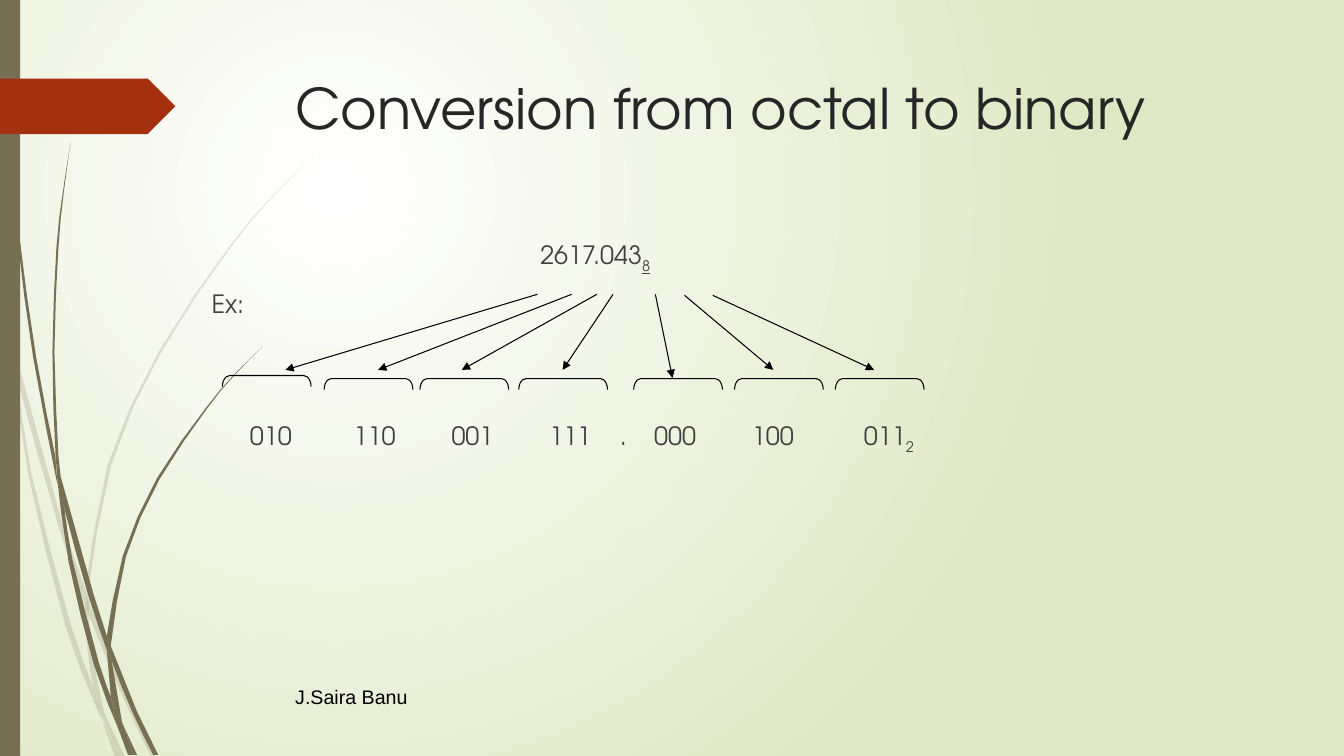
from lxml.etree import SubElement
from pptx import Presentation
from pptx.dml.color import RGBColor
from pptx.enum.shapes import MSO_CONNECTOR, MSO_SHAPE
from pptx.enum.text import MSO_ANCHOR, PP_ALIGN
from pptx.oxml.ns import qn
from pptx.util import Inches, Pt

# Content
TITLE = "Conversion from octal to binary"
AUTHOR = "J.Saira Banu"
OCTAL = ("2617.043", "8")
LABEL = "Ex:"
BINARY = (["010", "110", "001", "111", ".", "000", "100", "011"], "2")

COLORS = {"white": "FFFFFF", "pale": "DFE8C4", "olive": "766F54", "red": "A53010",
          "title": "262626", "body": "404040", "black": "000000"}
HEAD, SANS = "TeX Gyre Adventor", "Arial"

# Left edge of each binary group, in inches
TABS = [2.48, 3.51, 4.48, 5.45, 6.15, 6.49, 7.46, 8.57]
# Arrows from octal digit to bracket: start x, start y, end x, end y
ARROWS = [(5.33, 2.92, 2.83, 3.67), (5.67, 2.92, 3.75, 3.67),
          (5.92, 2.92, 4.58, 3.67), (6.08, 2.92, 5.58, 3.67),
          (6.5, 2.92, 6.67, 3.75), (6.79, 2.93, 7.67, 3.67),
          (7.07, 2.93, 8.67, 3.67)]
# Left and top of each bracket before its quarter turn
BRACKETS = [(2.59, 3.34)] + [(x, 3.37) for x in (3.6, 4.55, 5.53, 6.67, 7.67, 8.67)]

# Grass pieces: one edge, then the other edge back to the start
FAINT = [
    ([(.11, 3.5), (.09, 3.22), (0, 2.82)], [(0, 2.99), (.1, 3.44), (.11, 3.5)]),
    ([(.14, 3.45), (.17, 3.76), (.58, 5.22), (.84, 5.99)],
     [(.85, 5.86), (.62, 5.2), (.14, 3.45)]),
    ([(.88, 5.96), (.88, 6.1), (1.23, 6.94), (1.5, 7.51)],
     [(1.55, 7.51), (1.27, 6.92), (.92, 6.07), (.88, 5.96)]),
    ([(1.05, 7.11), (1.19, 7.51)], [(1.24, 7.51), (1.05, 7.11)]),
    ([(.11, 3.5), (.28, 4.7), (.65, 6.21), (.92, 6.93), (1.01, 7.14)],
     [(.99, 7.07), (.93, 6.83), (.7, 6.19), (.31, 4.69), (.17, 3.76), (.11, 3.5)]),
    ([(.84, 5.99), (.87, 6.46), (.93, 6.83), (1.05, 7.11)],
     [(1.03, 7.06), (.91, 6.46), (.88, 6.1), (.84, 5.99)]),
    ([(3.12, 1.53), (2.68, 1.97), (2.28, 2.44), (1.58, 3.48), (1.07, 4.61), (.85, 5.84)],
     [(.88, 5.96), (.88, 5.84), (1.1, 4.62), (1.6, 3.49), (2.29, 2.45), (2.68, 1.98),
      (3.12, 1.53)]),
    ([(1.01, 7.14), (1.14, 7.51)], [(1.19, 7.51), (1.01, 7.14)]),
    ([(.84, 5.99), (.85, 5.86)], [(.88, 5.96), (.88, 6.1)]),
    ([(.93, 6.83), (.99, 7.07), (1.19, 7.51)], [(1.05, 7.11), (.96, 6.92), (.93, 6.83)]),
]
SOLID = [
    ([(.03, 0), (.07, 1.1), (.17, 2.33), (.33, 3.55), (.57, 4.81)],
     [(.55, 4.53), (.36, 3.55), (.19, 2.32), (.08, 1.09), (.04, 0)]),
    ([(.6, 4.72), (.64, 5.05), (.88, 5.92), (1.06, 6.45)],
     [(1.06, 6.31), (.93, 5.9), (.6, 4.72)]),
    ([(1.1, 6.41), (1.11, 6.56), (1.32, 7.08), (1.52, 7.49)],
     [(1.57, 7.49), (1.36, 7.06), (1.1, 6.41)]),
    ([(.57, 4.77), (.68, 5.57), (.93, 6.59), (1.17, 7.22)],
     [(1.1, 6.91), (.98, 6.57), (.72, 5.56), (.64, 5.05), (.57, 4.77)]),
    ([(.7, 1.41), (.62, 1.93), (.56, 2.45), (.52, 3.49), (.55, 4.49), (.6, 4.72)],
     [(.58, 4.53), (.54, 3.49), (.58, 2.45), (.63, 1.93), (.7, 1.41)]),
    ([(1.22, 7.19), (1.33, 7.49)], [(1.36, 7.49), (1.22, 7.19)]),
    ([(.57, 4.77), (.64, 5.05)], [(.6, 4.72), (.55, 4.49)]),
    ([(2.6, 3.44), (2.31, 3.73), (2.04, 4.05), (1.56, 4.74), (1.22, 5.51), (1.06, 6.31)],
     [(1.1, 6.41), (1.11, 6.33), (1.25, 5.52), (1.58, 4.76), (2.05, 4.06), (2.31, 3.74),
      (2.6, 3.44)]),
    ([(1.17, 7.22), (1.27, 7.49)], [(1.31, 7.49), (1.17, 7.22)]),
    ([(1.06, 6.45), (1.1, 6.91), (1.22, 7.19)], [(1.21, 7.16), (1.11, 6.56), (1.06, 6.45)]),
    ([(1.06, 6.31), (1.06, 6.45)], [(1.11, 6.56), (1.1, 6.41)]),
    ([(1.1, 6.91), (1.17, 7.22), (1.3, 7.49)], [(1.33, 7.49), (1.22, 7.19), (1.1, 6.91)]),
]


def rgb(name):
    return RGBColor.from_string(COLORS[name])


def smooth(pts):
    """Points of a Catmull-Rom curve through pts, halving each long step."""
    if len(pts) < 4:
        return pts
    ext = [pts[0], *pts, pts[-1]]
    out = [pts[0]]
    for a, b, c, d in zip(ext, ext[1:], ext[2:], ext[3:]):
        mid = tuple((9 * (q + r) - p - s) / 16 for p, q, r, s in zip(a, b, c, d))
        out += [mid, c]
    return out


def paint(shape, color):
    shape.shadow.inherit = False
    shape.fill.solid()
    shape.fill.fore_color.rgb = rgb(color)
    shape.line.fill.background()


def ink(line):
    line.color.rgb = rgb("black")
    line.width = Pt(0.75)


def add_run(para, text, size, color, font=HEAD):
    run = para.add_run()
    run.text = text
    run.font.size = Pt(size)
    run.font.name = font
    run.font.color.rgb = rgb(color)
    return run


def add_sub(para, text):
    run = add_run(para, text, 18, "body")
    run.font._element.set("baseline", "-25000")
    return run


def add_box(shapes, x, y, w, h):
    frame = shapes.add_textbox(Inches(x), Inches(y), Inches(w), Inches(h)).text_frame
    frame.word_wrap = True
    return frame


def draw_back(slide):
    fill = slide.background.fill
    fill.gradient()
    for stop, name in zip(fill.gradient_stops, ("white", "pale")):
        stop.color.rgb = rgb(name)
    grad = slide._element.find(".//" + qn("a:gradFill"))
    grad.remove(grad.find(qn("a:lin")))
    ring = SubElement(grad, qn("a:path"), {"path": "circle"})
    SubElement(ring, qn("a:fillToRect"),
               {"l": "50000", "t": "50000", "r": "100000", "b": "100000"})


def draw_grass(shapes, blades, alpha):
    for down, up in blades:
        pts = [(Inches(x), Inches(y)) for x, y in smooth(down) + smooth(up)]
        pen = shapes.build_freeform(*pts[0])
        pen.add_line_segments(pts[1:], close=True)
        blade = pen.convert_to_shape()
        paint(blade, "olive")
        tint = blade._element.spPr.find(".//" + qn("a:srgbClr"))
        SubElement(tint, qn("a:alpha"), {"val": str(alpha * 1000)})


def draw_text(slide):
    title = slide.shapes.title
    title.left, title.top = Inches(2.83), Inches(0.68)
    title.width, title.height = Inches(9.75), Inches(1.4)
    title.text_frame.vertical_anchor = MSO_ANCHOR.TOP
    head = title.text_frame.paragraphs[0]
    head.alignment = PP_ALIGN.LEFT
    add_run(head, TITLE, 40, "title")

    # Octal number, label and binary groups
    frame = add_box(slide.shapes, 2, 2.33, 10.58, 4.13)
    octal, label, row = frame.paragraphs[0], frame.add_paragraph(), frame.add_paragraph()
    for para, gap in ((octal, 10), (label, 10), (row, 73)):
        para.space_before = Pt(gap)
    octal._p.get_or_add_pPr().set("marL", str(Inches(3.26)))
    add_run(octal, OCTAL[0], 18, "body")
    add_sub(octal, OCTAL[1]).font.underline = True
    add_run(label, LABEL, 18, "body")
    stops = SubElement(row._p.get_or_add_pPr(), qn("a:tabLst"))
    for x in TABS:
        SubElement(stops, qn("a:tab"), {"pos": str(Inches(x - 2.1)), "algn": "l"})
    add_run(row, "".join("\t" + group for group in BINARY[0]), 18, "body")
    add_sub(row, BINARY[1])

    foot = add_box(slide.shapes, 2.83, 6.71, 8.33, 0.4)
    foot.vertical_anchor = MSO_ANCHOR.MIDDLE
    add_run(foot.paragraphs[0], AUTHOR, 14, "black", SANS)


def draw_links(shapes):
    for ends in ARROWS:
        link = shapes.add_connector(MSO_CONNECTOR.STRAIGHT, *map(Inches, ends))
        ink(link.line)
        SubElement(link.line._get_or_add_ln(), qn("a:tailEnd"), {"type": "triangle"})
        SubElement(link._element.spPr, qn("a:effectLst"))
    for x, y in BRACKETS:
        brace = shapes.add_shape(MSO_SHAPE.LEFT_BRACKET, *map(Inches, (x, y, 0.11, 0.88)))
        brace.rotation = 90
        brace.adjustments[0] = 0.66
        brace.shadow.inherit = False
        brace.fill.background()
        ink(brace.line)


deck = Presentation()
deck.slide_width, deck.slide_height = Inches(13.33), Inches(7.5)
slide = deck.slides.add_slide(deck.slide_layouts[5])
draw_back(slide)
draw_grass(slide.shapes, FAINT, 20)
draw_grass(slide.shapes, SOLID, 100)
for kind, box, color in ((MSO_SHAPE.RECTANGLE, (0, 0, 0.2, 7.5), "olive"),
                         (MSO_SHAPE.PENTAGON, (0, 0.78, 1.74, 0.55), "red")):
    paint(slide.shapes.add_shape(kind, *map(Inches, box)), color)
draw_text(slide)
draw_links(slide.shapes)
deck.save("out.pptx")
